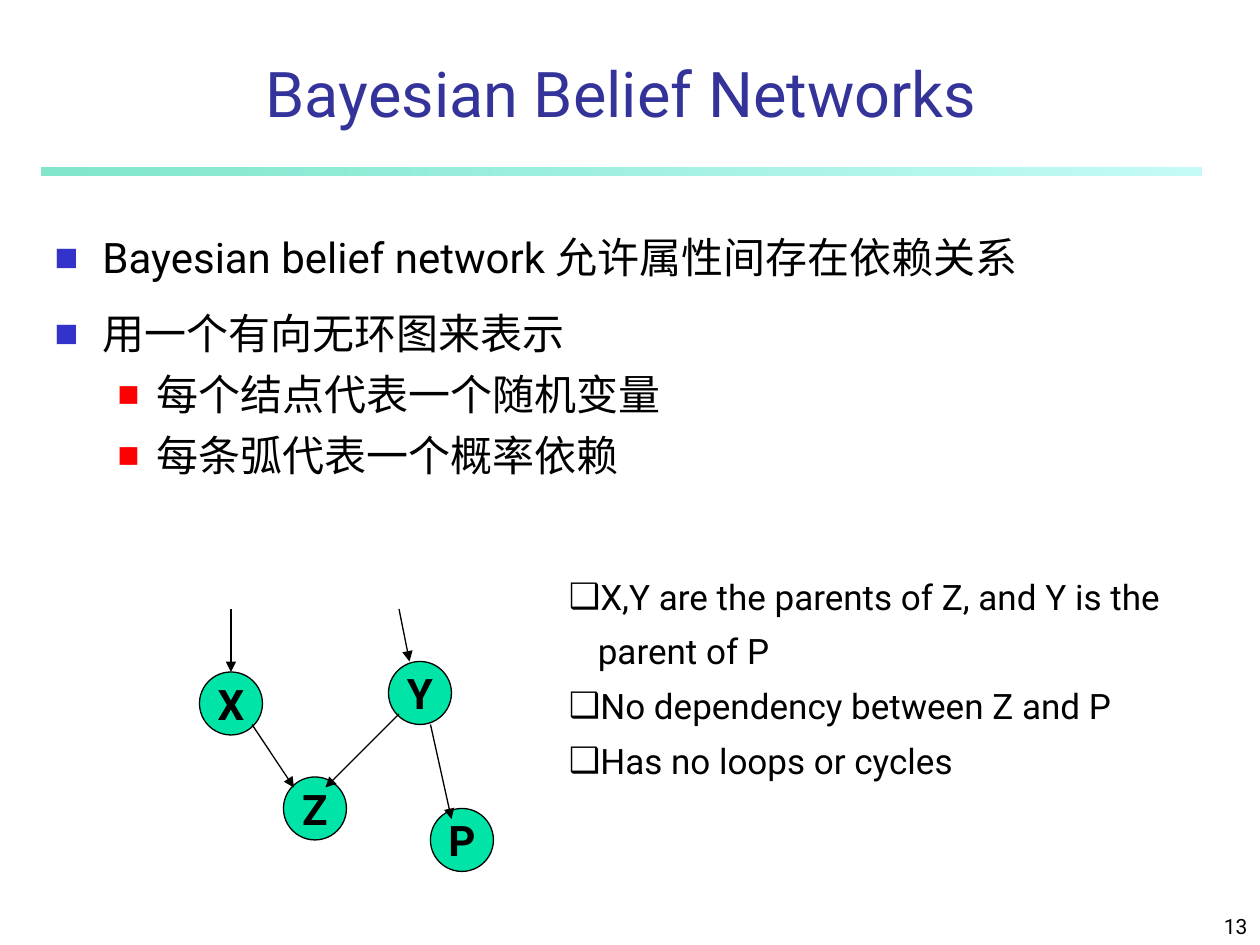
from dataclasses import dataclass

from lxml import etree
from pptx import Presentation
from pptx.dml.color import RGBColor
from pptx.enum.shapes import MSO_CONNECTOR, MSO_SHAPE
from pptx.enum.text import MSO_ANCHOR, MSO_AUTO_SIZE, PP_ALIGN
from pptx.oxml.ns import qn
from pptx.util import Inches, Pt

LEFT, CENTER, RIGHT = PP_ALIGN.LEFT, PP_ALIGN.CENTER, PP_ALIGN.RIGHT
TOP, MIDDLE, BOTTOM = MSO_ANCHOR.TOP, MSO_ANCHOR.MIDDLE, MSO_ANCHOR.BOTTOM
CIRCLE, RECTANGLE = MSO_SHAPE.FLOWCHART_CONNECTOR, MSO_SHAPE.RECTANGLE
STRAIGHT = MSO_CONNECTOR.STRAIGHT
NO_FIT = MSO_AUTO_SIZE.NONE

COLUMNS, ROWS = 120, 90  # grid cells across and down the slide
NODE_SIZE = 6            # node diameter in grid cells


@dataclass(frozen=True)
class Theme:
    font: str = "Roboto"
    serif: str = "Times New Roman"
    ink: str = "000000"
    title: str = "333399"
    node: str = "00E4A8"
    rule: tuple = (("00CE98", 50), ("8FF9EF", 52))  # colour, opacity in percent
    first_bullet: str = "3333CC"
    second_bullet: str = "FF0000"
    title_size: int = 36
    body_size: int = 24
    note_size: int = 20
    number_size: int = 12
    line_width: float = 0.75


THEME = Theme()


def add_child(parent, tag, **attributes):
    return etree.SubElement(parent, qn(tag), attributes)


def write(para, text, *, size, color=THEME.ink, font=THEME.font, bold=False,
          align=None, spacing=1.0, before=0, bullet=None):
    """Fill a paragraph; text is a string or a list of (string, font) pairs."""
    para.alignment = align
    para.line_spacing = spacing
    para.space_before = Pt(before)
    if bullet:
        add_bullet(para, **bullet)
    for words, face in [(text, font)] if isinstance(text, str) else text:
        span = para.add_run()
        span.text = words
        span.font.name = face
        span.font.size = Pt(size)
        span.font.bold = bold
        span.font.color.rgb = RGBColor.from_string(color)


def add_bullet(para, *, char, color, margin, hang, percent=100):
    properties = para._p.get_or_add_pPr()
    properties.set("marL", str(Inches(margin)))
    properties.set("indent", str(-Inches(hang)))
    add_child(add_child(properties, "a:buClr"), "a:srgbClr", val=color)
    add_child(properties, "a:buSzPct", val=str(percent * 1000))
    add_child(properties, "a:buFont", typeface=THEME.font)
    add_child(properties, "a:buChar", char=char)


class SlideBuilder:
    def __init__(self, deck, theme):
        self.theme = theme
        self.cell_width = deck.slide_width / COLUMNS
        self.cell_height = deck.slide_height / ROWS
        self.page = deck.slides.add_slide(deck.slide_layouts[1])

    def point(self, column, row):
        return round(column * self.cell_width), round(row * self.cell_height)

    def area(self, column, row, columns, rows):
        return *self.point(column, row), *self.point(columns, rows)

    def fill_frame(self, box, items, *, anchor=TOP, wrap=True):
        frame = box.text_frame
        frame.word_wrap = wrap
        frame.auto_size = NO_FIT
        frame.vertical_anchor = anchor
        for index, (text, style) in enumerate(items):
            para = frame.add_paragraph() if index else frame.paragraphs[0]
            para.level = style.get("level", 0)
            write(para, text, **{key: value for key, value in style.items() if key != "level"})

    def placeholder(self, index, area, items, anchor=TOP):
        box = self.page.placeholders[index]
        box.left, box.top, box.width, box.height = self.area(*area)
        self.fill_frame(box, items, anchor=anchor)

    def text(self, area, items, anchor=TOP):
        box = self.page.shapes.add_textbox(*self.area(*area))
        self.fill_frame(box, items, anchor=anchor)

    def rule(self, area):
        bar = self.page.shapes.add_shape(RECTANGLE, *self.area(*area))
        bar.shadow.inherit = False
        bar.line.fill.background()
        bar.fill.gradient()
        bar.fill.gradient_angle = 0
        for stop, (color, _) in zip(bar.fill.gradient_stops, self.theme.rule):
            stop.color.rgb = RGBColor.from_string(color)
        colors = bar._element.spPr.iter(qn("a:srgbClr"))
        for element, (_, opacity) in zip(list(colors), self.theme.rule):
            add_child(element, "a:alpha", val=str(opacity * 1000))

    def node(self, label, column, row):
        circle = self.page.shapes.add_shape(
            CIRCLE, *self.area(column, row, NODE_SIZE, NODE_SIZE))
        circle.shadow.inherit = False
        circle.fill.solid()
        circle.fill.fore_color.rgb = RGBColor.from_string(self.theme.node)
        circle.line.color.rgb = RGBColor.from_string(self.theme.ink)
        circle.line.width = Pt(self.theme.line_width)
        style = dict(size=self.theme.body_size, bold=True, align=CENTER)
        self.fill_frame(circle, [(label, style)], anchor=MIDDLE, wrap=False)

    def arrow(self, start, end):
        line = self.page.shapes.add_connector(STRAIGHT, *self.point(*start), *self.point(*end))
        line.line.color.rgb = RGBColor.from_string(self.theme.ink)
        line.line.width = Pt(self.theme.line_width)
        properties = line._element.spPr
        add_child(properties.find(qn("a:ln")), "a:tailEnd", type="triangle")
        add_child(properties, "a:effectLst")


def main():
    deck = Presentation()
    deck.slide_width, deck.slide_height = Inches(10), Inches(7.5)
    slide = SlideBuilder(deck, THEME)

    # Heading, rule and slide number
    slide.rule((4, 16, 110.4, 0.7))
    slide.text((95, 85, 25, 5), [("13", dict(size=THEME.number_size, align=RIGHT))], BOTTOM)
    heading = dict(size=THEME.title_size, color=THEME.title, align=CENTER)
    slide.placeholder(0, (4, 5, 110.3, 8), [("Bayesian Belief Networks", heading)], BOTTOM)

    # Main points
    first = dict(size=THEME.body_size, spacing=1.3, align=LEFT, bullet=dict(
        char="■", color=THEME.first_bullet, margin=0.38, hang=0.38, percent=60))
    second = dict(level=1, size=THEME.body_size, before=6, align=LEFT, font=THEME.serif,
                  bullet=dict(char="■", color=THEME.second_bullet,
                              margin=0.81, hang=0.31, percent=55))
    graph_words = [("用一个", THEME.font), ("有向无环图", THEME.serif), ("来表示", THEME.font)]
    slide.placeholder(1, (4, 20, 112, 66), [
        ("Bayesian belief network 允许属性间存在依赖关系", first),
        (graph_words, {**first, "before": 6}),
        ("每个结点代表一个随机变量", second),
        ("每条弧代表一个概率依赖", second),
    ])

    # Network graph
    nodes = {"X": (19, 64), "Y": (37, 63), "Z": (27, 74), "P": (41, 77)}
    for label, corner in nodes.items():
        slide.node(label, *corner)
    arrows = [
        ((22, 58), (22, 64)),  # into X
        ((38, 58), (39, 63)),  # into Y
        ((24, 69), (28, 75)),  # X to Z
        ((38, 68), (31, 75)),  # Y to Z
        ((41, 69), (43, 78)),  # Y to P
    ]
    for start, end in arrows:
        slide.arrow(start, end)

    # Notes on the graph
    note = dict(size=THEME.note_size, spacing=1.3, align=LEFT, bullet=dict(
        char="❑", color=THEME.ink, margin=0.23, hang=0.23))
    slide.text((53, 53, 64.8, 22), [(text, note) for text in (
        "X,Y are the parents of Z, and Y is the parent of P",
        "No dependency between Z and P",
        "Has no loops or cycles",
    )])

    deck.save("out.pptx")


if __name__ == "__main__":
    main()
